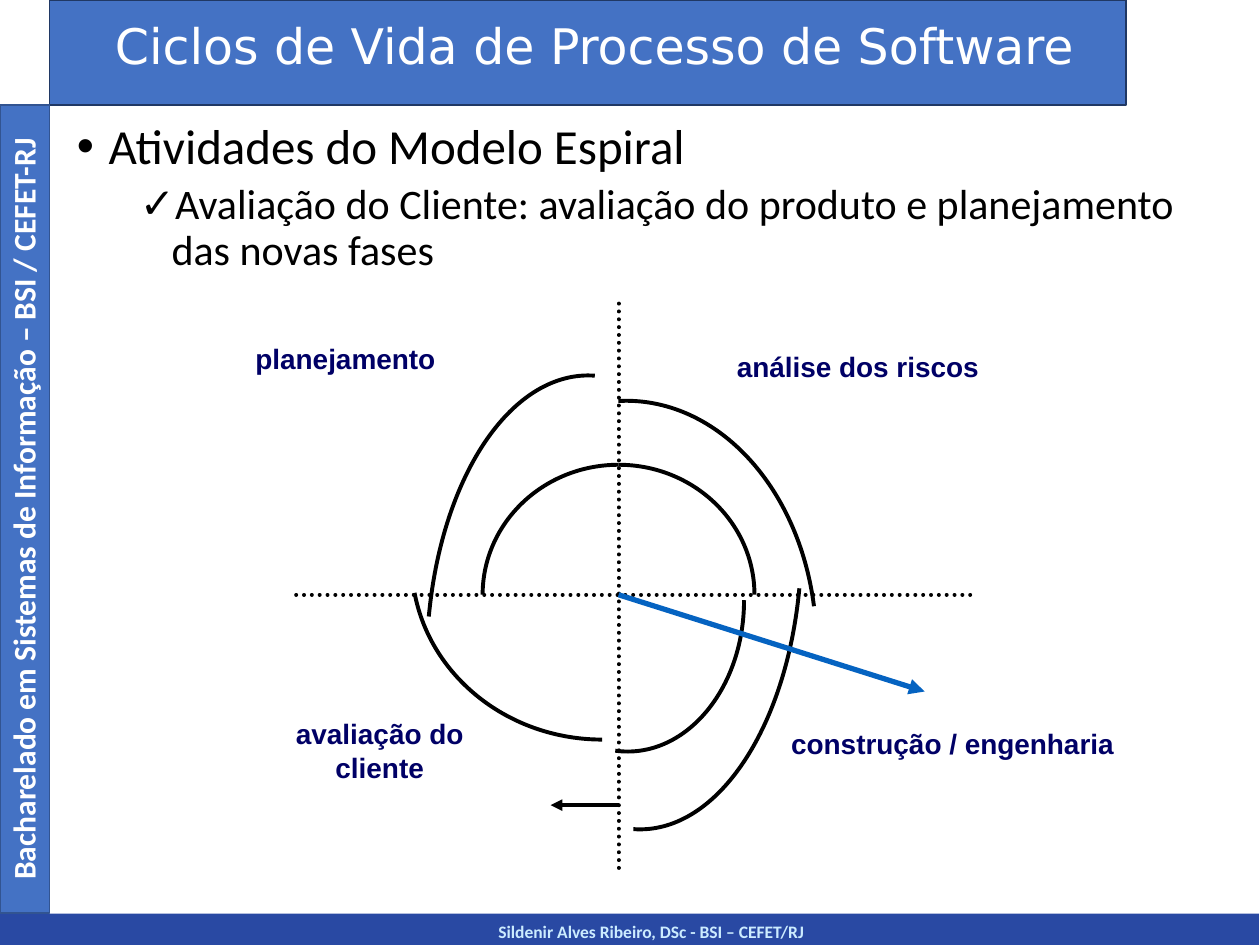
"""Build the slide on the activities of the spiral model."""
from math import cos, radians, sin, tan

from lxml import etree
from pptx import Presentation
from pptx.dml.color import RGBColor
from pptx.enum.dml import MSO_LINE
from pptx.enum.shapes import MSO_CONNECTOR, MSO_SHAPE
from pptx.enum.text import MSO_ANCHOR, MSO_AUTO_SIZE, PP_ALIGN
from pptx.oxml.ns import qn
from pptx.util import Cm, Pt

RECTANGLE = MSO_SHAPE.RECTANGLE
STRAIGHT = MSO_CONNECTOR.STRAIGHT
DOTTED = MSO_LINE.ROUND_DOT
TOP = MSO_ANCHOR.TOP
NO_AUTOFIT = MSO_AUTO_SIZE.NONE
LEFT, CENTER = PP_ALIGN.LEFT, PP_ALIGN.CENTER
TITLE_ONLY = 5

BLUE, NAVY_LINE, DARK_BLUE = "4472C4", "203864", "2949A3"
BLACK, WHITE, LABEL_BLUE = "000000", "FFFFFF", "000066"
PALE_BLUE, ARROW_BLUE = "CCECFF", "0563C1"


def color(hex_string):
    return RGBColor.from_string(hex_string)


class SlideBuilder:
    def __init__(self, slide):
        self.slide = slide
        self.shapes = slide.shapes

    def prepare_frame(self, frame):
        frame.word_wrap = True
        frame.auto_size = NO_AUTOFIT
        frame.vertical_anchor = TOP
        return frame

    def add_run(self, paragraph, text, font, size, hex_string, bold=False):
        run = paragraph.add_run()
        run.text = text
        run.font.name = font
        run.font.size = Pt(size)
        run.font.bold = bold
        run.font.color.rgb = color(hex_string)

    def title(self, text, box):
        shape = self.shapes.title
        self.shapes._spTree.append(shape._element)
        shape.left, shape.top, shape.width, shape.height = map(Cm, box)
        paragraph = self.prepare_frame(shape.text_frame).paragraphs[0]
        paragraph.alignment = CENTER
        paragraph.line_spacing = 0.9
        self.add_run(paragraph, text, "DejaVu Sans", 28, WHITE)

    def bar(self, box, fill, line=None):
        shape = self.shapes.add_shape(RECTANGLE, *map(Cm, box))
        shape.shadow.inherit = False
        shape.fill.solid()
        shape.fill.fore_color.rgb = color(fill)
        if line:
            shape.line.color.rgb = color(line)
            shape.line.width = Pt(1)
        else:
            shape.line.fill.background()

    def text(self, text, box, font, size, hex_string, align=CENTER, rotation=0):
        shape = self.shapes.add_textbox(*map(Cm, box))
        shape.rotation = rotation
        paragraph = self.prepare_frame(shape.text_frame).paragraphs[0]
        paragraph.alignment = align
        self.add_run(paragraph, text, font, size, hex_string, bold=True)

    def bullets(self, items, box):
        frame = self.prepare_frame(self.shapes.add_textbox(*map(Cm, box)).text_frame)
        for index, (text, level, mark, margin, size, space) in enumerate(items):
            paragraph = frame.add_paragraph() if index else frame.paragraphs[0]
            paragraph.level = level
            paragraph.line_spacing = 0.9
            paragraph.space_before = Pt(space)
            properties = paragraph._p.get_or_add_pPr()
            properties.set("marL", str(Cm(margin)))
            properties.set("indent", str(-Cm(0.64)))
            etree.SubElement(properties, qn("a:buFont")).set("typeface", "Arial")
            etree.SubElement(properties, qn("a:buChar")).set("char", mark)
            self.add_run(paragraph, text, "Calibri", size, BLACK)

    def arc(self, center_x, center_y, radius_x, radius_y, start, end):
        first, last = radians(start), radians(end)
        handle = 4 / 3 * tan((last - first) / 4)
        units = [
            (cos(first), sin(first)),
            (cos(first) - handle * sin(first), sin(first) + handle * cos(first)),
            (cos(last) + handle * sin(last), sin(last) - handle * cos(last)),
            (cos(last), sin(last)),
        ]
        points = [(Cm(center_x + radius_x * x), Cm(center_y + radius_y * y))
                  for x, y in units]
        builder = self.shapes.build_freeform(*points[0])
        builder.add_line_segments(points[1:], close=False)
        shape = builder.convert_to_shape()
        outline = next(shape._element.iter(qn("a:path")))
        segments = outline.findall(qn("a:lnTo"))
        curve = etree.SubElement(outline, qn("a:cubicBezTo"))
        for segment in segments:
            curve.append(segment[0])
            outline.remove(segment)
        shape.shadow.inherit = False
        shape.fill.background()
        shape.line.color.rgb = color(BLACK)
        shape.line.width = Pt(2.25)

    def line(self, ends, hex_string=BLACK, width=2.25, dash=None, arrow=False):
        connector = self.shapes.add_connector(STRAIGHT, *map(Cm, ends))
        connector.line.color.rgb = color(hex_string)
        connector.line.width = Pt(width)
        outline = connector.line._get_or_add_ln()
        if dash:
            connector.line.dash_style = dash
            outline.set("cap", "rnd")
        if arrow:
            etree.SubElement(outline, qn("a:tailEnd")).set("type", "triangle")
        etree.SubElement(connector._element.spPr, qn("a:effectLst"))


def main():
    presentation = Presentation()
    presentation.slide_width, presentation.slide_height = Cm(25.4), Cm(19.05)
    layout = presentation.slide_layouts[TITLE_ONLY]
    builder = SlideBuilder(presentation.slides.add_slide(layout))

    builder.bar((0, 18.42, 25.38, 0.63), DARK_BLUE)
    builder.text("Sildenir Alves Ribeiro, DSc - BSI – CEFET/RJ",
                 (1.3, 18.44, 23.65, 0.64), "Calibri", 10, PALE_BLUE)
    builder.bar((1, 0, 21.7, 2.12), BLUE, NAVY_LINE)
    builder.bar((0, 2.12, 1, 16.28), BLUE, "325491")
    builder.text("Bacharelado em Sistemas de Informação – BSI / CEFET-RJ",
                 (-7.67, 9.75, 16.28, 1.02), "Calibri", 18, WHITE, rotation=270)

    builder.bullets([
        ("Atividades do Modelo Espiral", 0, "•", 0.64, 28, 10),
        ("Avaliação do Cliente: avaliação do produto e planejamento das novas fases",
         1, "✓", 1.91, 24, 5),
    ], (1.3, 2.33, 23.8, 3.4))
    builder.title("Ciclos de Vida de Processo de Software", (1.06, 0.32, 21.84, 1.6))

    for label, box, align in [
        ("avaliação do cliente", (4.9, 14.33, 5.51, 2.92), CENTER),
        ("construção / engenharia", (15.7, 14.53, 7.21, 1.85), LEFT),
        ("análise dos riscos", (13.7, 6.93, 7.19, 2.92), CENTER),
        ("planejamento", (4.9, 6.76, 7.57, 2.92), LEFT),
    ]:
        builder.text(label, box, "Arial", 16, LABEL_BLUE, align)

    center_x, center_y = 12.47, 11.99
    for arc in [
        (center_x, center_y, 2.74, 2.62, 180, 270),
        (center_x, center_y, 2.74, 2.62, 270, 360),
        (12.65, 12.1, 2.35, 3.05, 0, 96),
        (12.14, 11.33, 3.84, 3.58, 90, 170),
        (11.86, 13.39, 3.26, 5.82, 189.5, 272.3),
        (12.62, 13.03, 3.84, 4.95, 267.7, 350.6),
        (12.9, 10.9, 3.26, 5.82, 9.5, 92.3),
    ]:
        builder.arc(*arc)

    builder.line((center_x, 16.23, 11.1, 16.23), arrow=True)
    builder.line((center_x, 6.12, center_x, 17.53), dash=DOTTED)
    builder.line((5.97, center_y, 19.66, center_y), dash=DOTTED)
    builder.line((center_x, center_y, 18.64, 13.94), ARROW_BLUE, 3, arrow=True)

    presentation.save("out.pptx")


if __name__ == "__main__":
    main()
